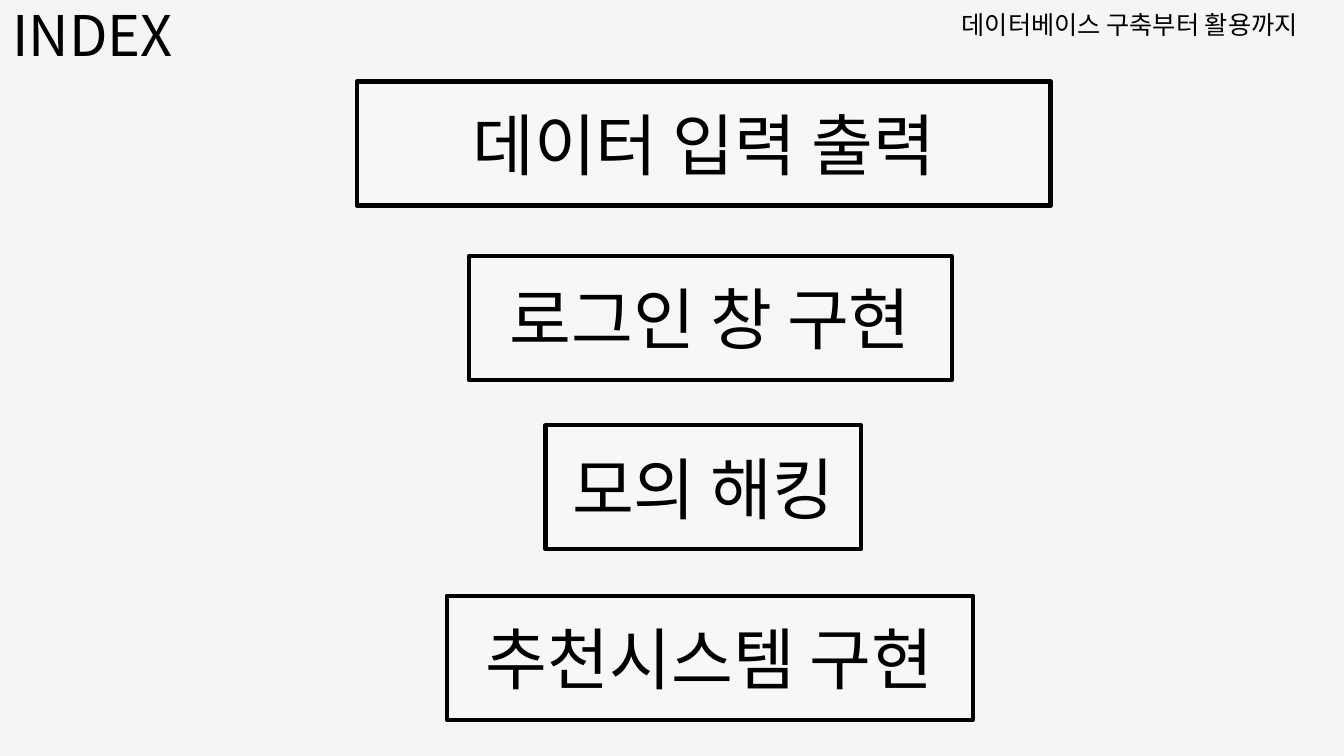
from lxml import etree
from pptx import Presentation
from pptx.dml.color import RGBColor
from pptx.enum.shapes import MSO_SHAPE
from pptx.enum.text import MSO_ANCHOR, MSO_AUTO_SIZE, PP_ALIGN
from pptx.oxml.ns import qn
from pptx.util import Inches, Pt

BLACK = RGBColor(0x00, 0x00, 0x00)
WHITE = RGBColor(0xFF, 0xFF, 0xFF)
PAPER = RGBColor(0xF5, 0xF5, 0xF5)
FONT = "Noto Sans CJK KR"
RECTANGLE = MSO_SHAPE.RECTANGLE
LEFT, CENTER = PP_ALIGN.LEFT, PP_ALIGN.CENTER
TOP, MIDDLE, BOTTOM = MSO_ANCHOR.TOP, MSO_ANCHOR.MIDDLE, MSO_ANCHOR.BOTTOM
NO_AUTOFIT = MSO_AUTO_SIZE.NONE

BOX_HEIGHT = 1.23
# Topic, left, top, width
TOPICS = [
    ("데이터 입력 출력", 3.54, 0.81, 6.88),
    ("로그인 창 구현", 4.65, 2.54, 4.79),
    ("모의 해킹", 5.41, 4.22, 3.13),
    ("추천시스템 구현", 4.43, 5.91, 5.22),
]


def write(shape, text, *, size, align=LEFT, anchor=TOP, spacing=1.0):
    frame = shape.text_frame
    frame.word_wrap = True
    frame.auto_size = NO_AUTOFIT
    frame.vertical_anchor = anchor
    para = frame.paragraphs[0]
    para.alignment = align
    para.line_spacing = spacing
    span = para.add_run()
    span.text = text
    span.font.size = Pt(size)
    span.font.name = FONT
    span.font.color.rgb = BLACK
    east_asian = etree.SubElement(span.font._element, qn("a:ea"))
    east_asian.set("typeface", FONT)


def add_heading(page, left, top, width, height):
    title = page.shapes.title
    title.left, title.top = Inches(left), Inches(top)
    title.width, title.height = Inches(width), Inches(height)
    write(title, "INDEX", size=40, align=CENTER, anchor=BOTTOM, spacing=0.9)


def add_subject(page, left, top, width, height):
    box = page.shapes.add_textbox(
        Inches(left), Inches(top), Inches(width), Inches(height))
    write(box, "데이터베이스 구축부터 활용까지", size=18)


def add_topic(page, text, left, top, width, height):
    box = page.shapes.add_shape(
        RECTANGLE, Inches(left), Inches(top), Inches(width), Inches(height))
    box.shadow.inherit = False
    box.fill.solid()
    box.fill.fore_color.rgb = WHITE
    # Let the page show through the white
    color = box._element.spPr.find(qn("a:solidFill")).find(qn("a:srgbClr"))
    etree.SubElement(color, qn("a:alpha")).set("val", "28000")
    box.line.color.rgb = BLACK
    box.line.width = Pt(3)
    write(box, text, size=48, align=CENTER, anchor=MIDDLE)


def add_index_page(deck):
    page = deck.slides.add_slide(deck.slide_layouts[5])
    page.background.fill.solid()
    page.background.fill.fore_color.rgb = PAPER
    add_heading(page, 0, 0, 1.84, 0.73)
    add_subject(page, 9.44, 0.04, 3.89, 0.4)
    for text, left, top, width in TOPICS:
        add_topic(page, text, left, top, width, BOX_HEIGHT)


deck = Presentation()
deck.slide_width, deck.slide_height = Inches(13.33), Inches(7.5)
add_index_page(deck)
deck.save("out.pptx")
